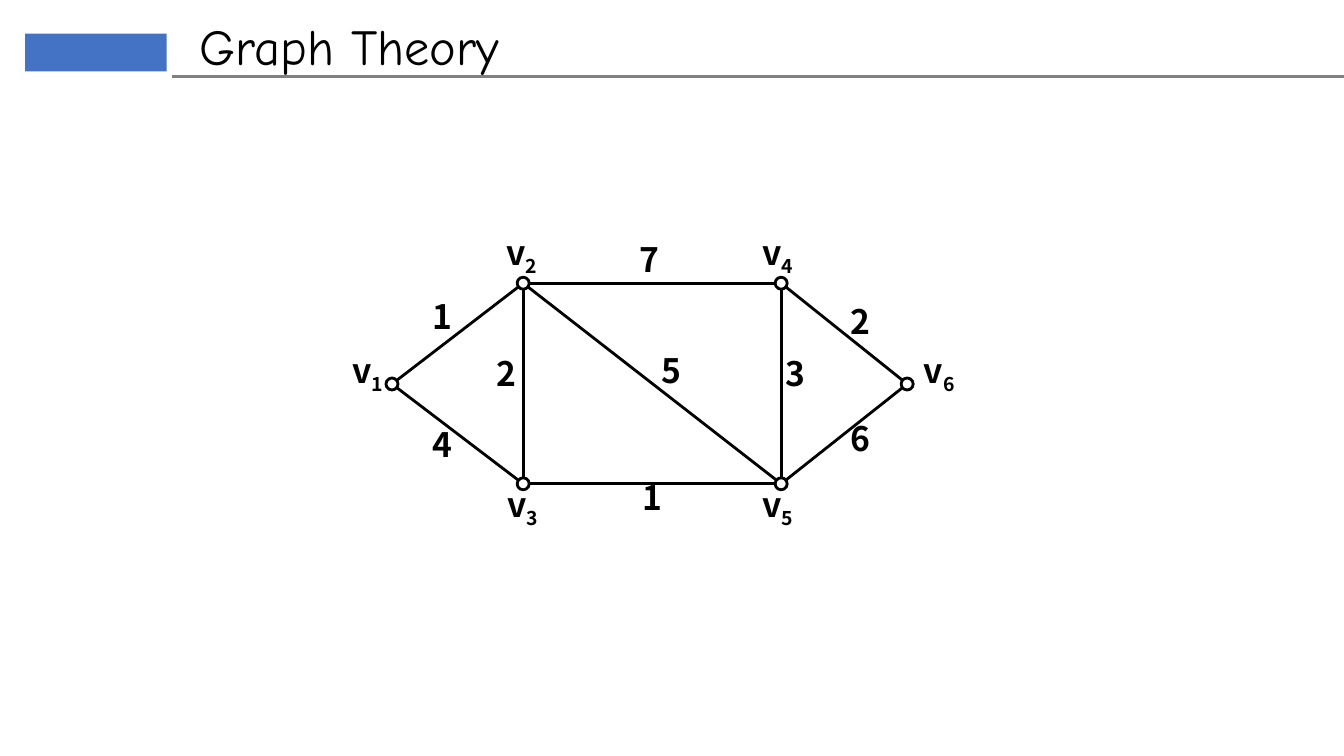
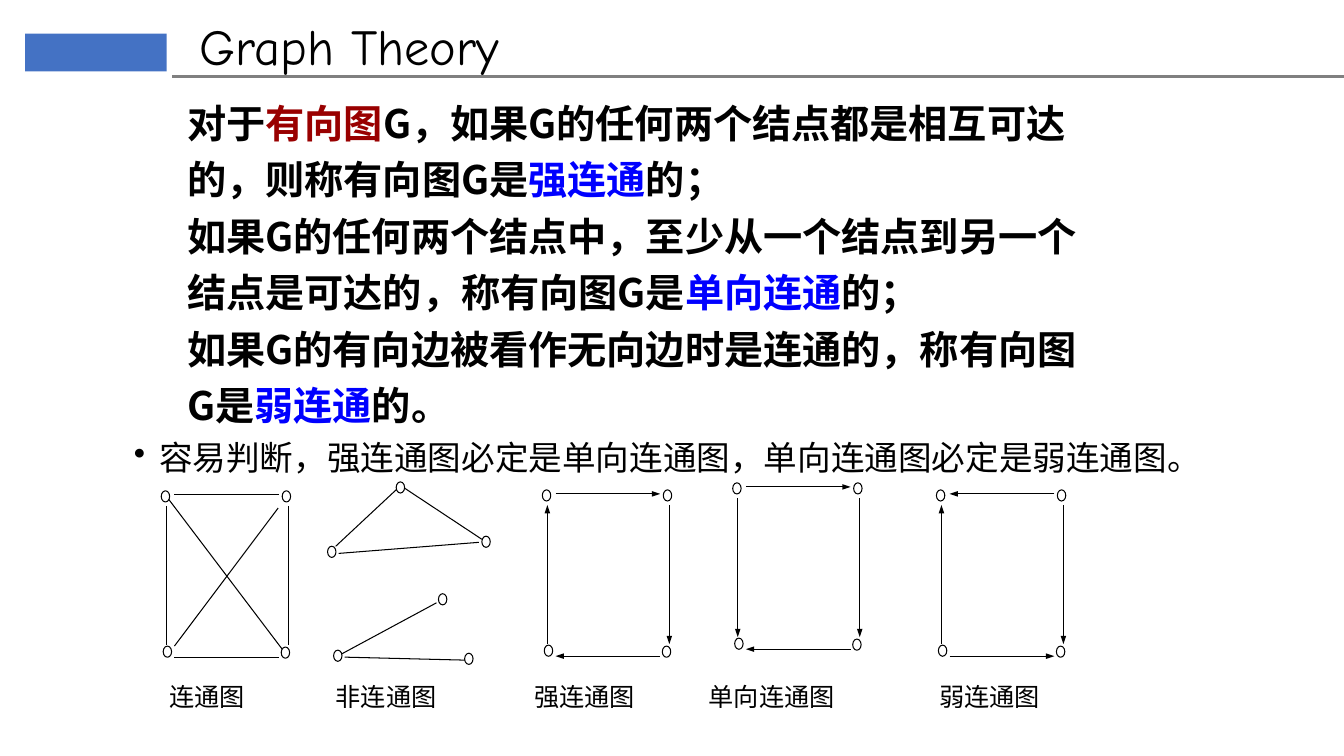
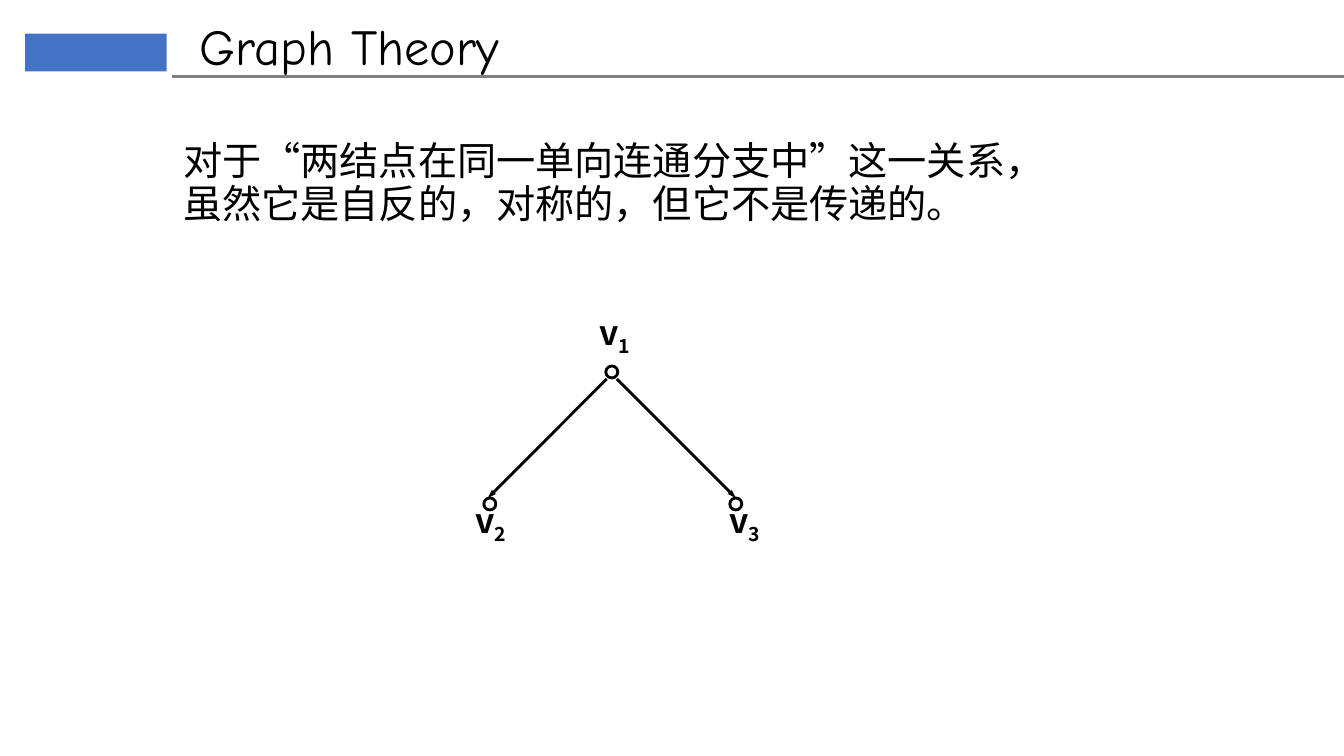
"""Build three graph theory slides."""
from typing import NamedTuple
import math

from lxml import etree
from pptx import Presentation
from pptx import util as u
from pptx.dml import color
from pptx.enum import shapes, text
from pptx.oxml import ns

SANS = "Noto Sans CJK SC"
BLACK, WHITE, GREY = "000000", "FFFFFF", "808080"
BLUE, RED, BRAND = "0000FF", "990000", "4472C4"


class Style(NamedTuple):
    size: float
    bold: bool = False
    font: str = SANS
    inset: tuple = (7.2, 3.6, 7.2, 3.6)
    center: bool = False
    lead: float = 1.0
    before: float = 0
    bullet: str = ""
    grow: bool = True


class Span(NamedTuple):
    words: str
    hue: str = BLACK
    base: int = 0


class Node(NamedTuple):
    name: str
    x: float
    y: float
    left: float
    top: float


class Edge(NamedTuple):
    start: str
    end: str
    cost: str
    left: float
    top: float


class Square(NamedTuple):
    x: float
    y: float
    ways: tuple


class Label(NamedTuple):
    words: str
    x: float
    width: float


TITLE = Style(36, font="Comic Neue")
MARK = Style(24, True, inset=(0, 0, 0, 0), center=True)
CAPTION = Style(18, inset=(0, 0, 7.2, 0))
POINT = Style(24, lead=0.9, before=10, bullet="•", grow=False)
BODY = Style(28, True, lead=1.2)
NOTE = Style(28, lead=0.9, before=10, grow=False)

RADIUS = 4.3

NODES = [
    Node("1", 280, 274.3, 245.5, 249.8),
    Node("2", 373.7, 202.3, 355.7, 165.6),
    Node("3", 373.7, 345.6, 356.4, 345.6),
    Node("4", 558, 202.3, 538.6, 165.6),
    Node("5", 558, 345.6, 538.6, 345.6),
    Node("6", 648, 274.3, 653.8, 249.8),
]
EDGES = [
    Edge("1", "2", "1", 307.5, 211.7),
    Edge("1", "3", "4", 307.5, 303.1),
    Edge("2", "3", "2", 353.5, 252),
    Edge("2", "4", "7", 455.5, 170.6),
    Edge("2", "5", "5", 470.9, 249.8),
    Edge("3", "5", "1", 457.2, 340.6),
    Edge("4", "5", "3", 559.4, 252),
    Edge("4", "6", "2", 606.2, 214.6),
    Edge("5", "6", "6", 606.2, 298.8),
]
TREE = [
    Node("1", 437, 265.7, 421.9, 222.5),
    Node("2", 349.9, 360, 333.4, 357.1),
    Node("3", 525.6, 360, 514.8, 357.1),
]
ARROWS = [(440.6, 270.7, 525.6, 355.7), (433.4, 270.7, 348.5, 355.7)]

SIDES = [
    (9.4, 2.9, 84.2, 2.9),
    (3.6, 10.8, 3.6, 110.2),
    (9.4, 118.8, 84.2, 118.8),
    (90.7, 10.8, 90.7, 110.2),
]
CORNERS = [(0, 0), (86.4, 0), (1.4, 110.9), (85.7, 111.6)]
SQUARES = [
    Square(115.2, 350.6, (0, 0, 0, 0)),
    Square(387.4, 349.9, (1, -1, -1, 1)),
    Square(523.4, 344.9, (1, 1, -1, 1)),
    Square(668.9, 349.9, (-1, -1, 1, 1)),
]
LOOSE = [
    (118.1, 353.5, 205.9, 469.4),
    (124.6, 461.5, 198.7, 362.9),
    (239.8, 390.2, 283.7, 349.2),
    (288.7, 348.5, 344.2, 385.2),
    (241.9, 395.3, 342, 387.4),
    (335.5, 471.6, 246.2, 469.4),
    (311.8, 430.6, 239.8, 469.4),
]
DOTS = [(283, 344.2), (344.2, 383), (234, 390.2),
        (238.3, 464.4), (331.9, 466.6), (313.2, 424.1)]
LABELS = [
    Label("连通图", 121, 80),
    Label("非连通图", 239.8, 108),
    Label("强连通图", 381.6, 113.8),
    Label("单向连通图", 506.2, 136),
    Label("弱连通图", 671, 124.6),
]
TERMS = [
    [Span("对于"), Span("有向图", RED),
     Span("G，如果G的任何两个结点都是相互可达的，则称有向图G是"),
     Span("强连通", BLUE), Span("的；")],
    [Span("如果G的任何两个结点中，至少从一个结点到另一个结点是可达的，称有向图G是"),
     Span("单向连通", BLUE), Span("的；")],
    [Span("如果G的有向边被看作无向边时是连通的，称有向图G是"),
     Span("弱连通", BLUE), Span("的。")],
]


def tint(code: str) -> color.RGBColor:
    return color.RGBColor.from_string(code)


def child(parent, tag: str, **attrs: str):
    return etree.SubElement(parent, ns.qn(tag), attrs)


def write(slide, box: tuple, paras: list, style: Style) -> None:
    frame = slide.shapes.add_textbox(*map(u.Pt, box)).text_frame
    frame.word_wrap = True
    frame.auto_size = (text.MSO_AUTO_SIZE.SHAPE_TO_FIT_TEXT if style.grow
                       else text.MSO_AUTO_SIZE.NONE)
    (frame.margin_left, frame.margin_top,
     frame.margin_right, frame.margin_bottom) = map(u.Pt, style.inset)
    frame.text = "\n".join("" for _ in paras)
    for para, spans in zip(frame.paragraphs, paras):
        para.alignment = (text.PP_ALIGN.CENTER if style.center
                          else text.PP_ALIGN.LEFT)
        para.line_spacing = style.lead
        para.space_before = u.Pt(style.before)
        if style.bullet:
            props = para._p.get_or_add_pPr()
            props.set("marL", str(u.Pt(18)))
            props.set("indent", str(u.Pt(-18)))
            child(props, "a:buChar", char=style.bullet)
        for span in spans:
            run = para.add_run()
            run.text = span.words
            font = run.font
            font.size, font.bold = u.Pt(style.size), style.bold
            font.name = style.font
            font.color.rgb = tint(span.hue)
            props = run._r.get_or_add_rPr()
            child(props, "a:ea", typeface=style.font)
            if span.base:
                props.set("baseline", str(span.base))


def link(slide, ends: tuple, width: float, way: int = 0,
         hue: str = BLACK) -> None:
    if way < 0:
        ends = ends[2:] + ends[:2]
    line = slide.shapes.add_connector(
        shapes.MSO_CONNECTOR.STRAIGHT, *map(u.Pt, ends))
    line.line.width = u.Pt(width)
    line.line.color.rgb = tint(hue)
    props = line._element.spPr
    if way:
        child(props.find(ns.qn("a:ln")), "a:tailEnd",
              type="triangle", w="sm", len="med")
    child(props, "a:effectLst")


def form(slide, kind, box: tuple, fill: str = ""):
    item = slide.shapes.add_shape(kind, *map(u.Pt, box))
    item.shadow.inherit = False
    if fill:
        item.fill.solid()
        item.fill.fore_color.rgb = tint(fill)
    else:
        item.fill.background()
    return item


def ring(slide, box: tuple, width: float, fill: str = WHITE) -> None:
    dot = form(slide, shapes.MSO_SHAPE.OVAL, box, fill)
    dot.line.width = u.Pt(width)
    dot.line.color.rgb = tint(BLACK)


def vertex(slide, node: Node, fill: str = WHITE) -> None:
    ring(slide, (node.x - RADIUS, node.y - RADIUS, 2 * RADIUS, 2 * RADIUS),
         2, fill)
    write(slide, (node.left, node.top, 34, 29),
          [[Span("v"), Span(node.name, base=-25000)]], MARK)


def trim(a: Node, b: Node) -> tuple:
    part = RADIUS / math.hypot(b.x - a.x, b.y - a.y)
    dx, dy = (b.x - a.x) * part, (b.y - a.y) * part
    return a.x + dx, a.y + dy, b.x - dx, b.y - dy


def start(deck):
    slide = deck.slides.add_slide(deck.slide_layouts[6])
    block = form(slide, shapes.MSO_SHAPE.RECTANGLE, (18, 24, 101, 27), BRAND)
    block.line.fill.background()
    link(slide, (123, 54.7, 960, 54.7), 2, hue=GREY)
    write(slide, (135.4, 7.2, 620.6, 51), [[Span("Graph Theory")]], TITLE)
    return slide


def network(slide) -> None:
    found = {node.name: node for node in NODES}
    for edge in EDGES:
        link(slide, trim(found[edge.start], found[edge.end]), 2)
        write(slide, (edge.left, edge.top, 17, 29), [[Span(edge.cost)]], MARK)
    for node in NODES:
        vertex(slide, node)


def kinds(slide) -> None:
    write(slide, (88.6, 311.8, 775.4, 147.6),
          [[Span("容易判断，强连通图必定是单向连通图，单向连通图必定是弱连通图。")]], POINT)
    for ends in LOOSE:
        link(slide, ends, 0.75)
    dots = list(DOTS)
    for x, y, ways in SQUARES:
        for (x1, y1, x2, y2), way in zip(SIDES, ways):
            link(slide, (x + x1, y + y1, x + x2, y + y2), 0.75, way)
        dots += [(x + dx, y + dy) for dx, dy in CORNERS]
    for x, y in dots:
        ring(slide, (x, y, 6, 8), 0.75)
    for label in LABELS:
        write(slide, (label.x, 486.7, label.width, 28.8),
              [[Span(label.words)]], CAPTION)
    write(slide, (126.7, 60.5, 663.8, 248.4), TERMS, BODY)


def branch(slide) -> None:
    write(slide, (123.8, 97.9, 635, 87.8),
          [[Span("对于“两结点在同一单向连通分支中”这一关系，"
                 "虽然它是自反的，对称的，但它不是传递的。")]], NOTE)
    for ends in ARROWS:
        link(slide, ends, 2, 1)
    for node in TREE:
        vertex(slide, node, "")


def main() -> None:
    deck = Presentation()
    deck.slide_width, deck.slide_height = u.Pt(960), u.Pt(540)
    for draw in (network, kinds, branch):
        draw(start(deck))
    deck.save("out.pptx")


if __name__ == "__main__":
    main()
